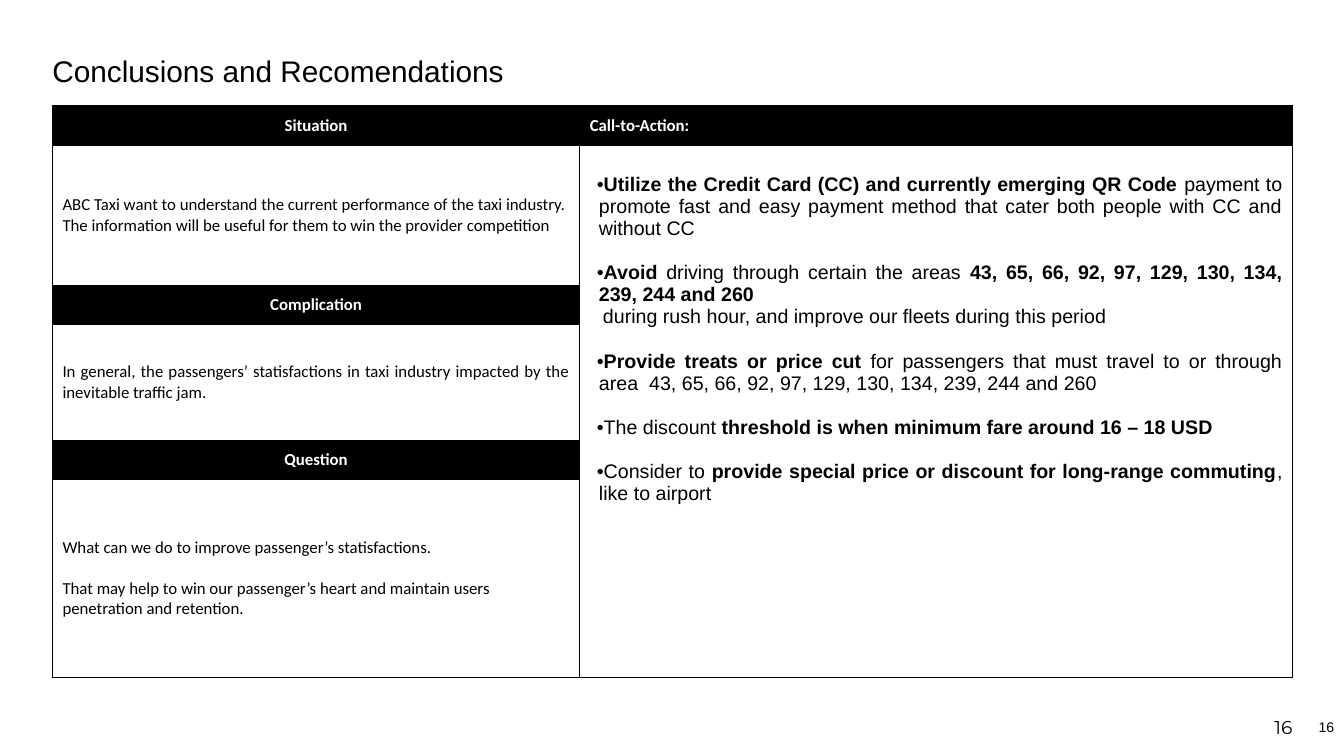
from lxml import etree
from pptx import Presentation
from pptx.dml.color import RGBColor
from pptx.enum.text import MSO_ANCHOR, PP_ALIGN
from pptx.oxml.ns import qn
from pptx.util import Inches, Pt

LEFT, CENTER = PP_ALIGN.LEFT, PP_ALIGN.CENTER
RIGHT, JUSTIFY = PP_ALIGN.RIGHT, PP_ALIGN.JUSTIFY
TOP, MIDDLE, BOTTOM = MSO_ANCHOR.TOP, MSO_ANCHOR.MIDDLE, MSO_ANCHOR.BOTTOM
BLACK, WHITE = "000000", "FFFFFF"
BLANK_LAYOUT = 6
WIDTH, HEIGHT = 13.33, 7.5
MARGIN, TABLE_TOP = 0.52, 1.05
COLUMNS = (5.23, 7.07)
ROWS = (0.39, 1.39, 0.39, 1.15, 0.39, 1.96)
CONTENT_WIDTH = sum(COLUMNS)
AREAS = "43, 65, 66, 92, 97, 129, 130, 134, 239, 244 and 260"

SECTIONS = [
    ("Situation", LEFT, 0, [
        "ABC Taxi want to understand the current performance of the taxi industry.",
        "The information will be useful for them to win the provider competition"]),
    ("Complication", JUSTIFY, 0, [
        "In general, the passengers’ statisfactions in taxi industry impacted "
        "by the inevitable traffic jam."]),
    ("Question", LEFT, 14.6, [
        "What can we do to improve passenger’s statisfactions.",
        "That may help to win our passenger’s heart and maintain users "
        "penetration and retention."]),
]

ACTIONS = [
    (True, [("Utilize the Credit Card (CC) and currently emerging QR Code ", True),
            ("payment to promote fast and easy payment method that cater both "
             "people with CC and without CC", False)]),
    (True, [("Avoid", True), (" driving through certain the areas ", False),
            (AREAS, True)]),
    (False, [("during rush hour, and improve our fleets during this period", False)]),
    (True, [("Provide treats or price cut", True),
            (" for passengers that must travel to or through area  " + AREAS, False)]),
    (True, [("The discount ", False),
            ("threshold is when minimum fare around 16 – 18 USD", True)]),
    (True, [("Consider to ", False),
            ("provide special price or discount for long-range commuting", True),
            (", like to airport", False)]),
]


def color(value):
    """Turn a hex string into a colour."""
    return RGBColor.from_string(value)


def add_run(para, text, font, size, bold=False, ink=BLACK):
    """Append one formatted run to a paragraph."""
    run = para.add_run()
    run.text = text
    run.font.name, run.font.size, run.font.bold = font, Pt(size), bold
    run.font.color.rgb = color(ink)


def next_para(frame, first, align, gap=0):
    """Return the first or a new paragraph, spaced unless it is the first."""
    para = frame.paragraphs[0] if first else frame.add_paragraph()
    para.alignment = align
    para.space_before = Pt(0 if first else gap)
    return para


def add_label(page, area, text, font, size, align, anchor, insets, spacing=1.0):
    """Add a one-line text box."""
    frame = page.shapes.add_textbox(*map(Inches, area)).text_frame
    frame.word_wrap = True
    frame.vertical_anchor = anchor
    frame.margin_left = frame.margin_right = Inches(insets[0])
    frame.margin_top = frame.margin_bottom = Inches(insets[1])
    para = next_para(frame, True, align)
    para.line_spacing = spacing
    add_run(para, text, font, size)


def style_cell(cell, fill, anchor=MIDDLE):
    """Give a cell thin black borders, a fill and an anchor."""
    properties = cell._tc.get_or_add_tcPr()
    for side in ("a:lnL", "a:lnR", "a:lnT", "a:lnB"):
        line = etree.SubElement(properties, qn(side), w=str(Pt(1)))
        solid = etree.SubElement(line, qn("a:solidFill"))
        etree.SubElement(solid, qn("a:srgbClr"), val=BLACK)
    cell.fill.solid()
    cell.fill.fore_color.rgb = color(fill)
    cell.vertical_anchor = anchor


def write_header(cell, text, align):
    """Fill a black header cell."""
    style_cell(cell, BLACK)
    add_run(next_para(cell.text_frame, True, align), text, "Calibri", 12, True, WHITE)


def write_body(cell, texts, align, gap):
    """Fill a white cell with plain paragraphs."""
    style_cell(cell, WHITE)
    for index, text in enumerate(texts):
        para = next_para(cell.text_frame, index == 0, align, gap)
        add_run(para, text, "Calibri", 12)


def indent(para, left, first, bullet):
    """Set a paragraph's indents and its bullet."""
    properties = para._p.get_or_add_pPr()
    properties.set("marL", str(Inches(left)))
    properties.set("indent", str(Inches(first)))
    if bullet:
        etree.SubElement(properties, qn("a:buFont"), typeface="Arial")
        etree.SubElement(properties, qn("a:buChar"), char="•")
    else:
        etree.SubElement(properties, qn("a:buNone"))


def write_actions(cell):
    """Fill the tall cell with the bulleted actions."""
    style_cell(cell, WHITE, TOP)
    cell.margin_top = Inches(0.28)
    for index, (bullet, runs) in enumerate(ACTIONS):
        para = next_para(cell.text_frame, index == 0, JUSTIFY, 16 if bullet else 0)
        indent(para, 0.09, -0.02 if bullet else 0.04, bullet)
        for text, bold in runs:
            add_run(para, text, "Arial", 14, bold)


def add_summary_table(page):
    """Add the table of sections beside the call to action."""
    area = (MARGIN, TABLE_TOP, CONTENT_WIDTH, sum(ROWS))
    table = page.shapes.add_table(len(ROWS), len(COLUMNS), *map(Inches, area)).table
    table.first_row = table.horz_banding = False
    for column, width in zip(table.columns, COLUMNS):
        column.width = Inches(width)
    for row, height in zip(table.rows, ROWS):
        row.height = Inches(height)
    for index, (heading, align, gap, texts) in enumerate(SECTIONS):
        write_header(table.cell(2 * index, 0), heading, CENTER)
        write_body(table.cell(2 * index + 1, 0), texts, align, gap)
    write_header(table.cell(0, 1), "Call-to-Action:", LEFT)
    table.cell(1, 1).merge(table.cell(len(ROWS) - 1, 1))
    write_actions(table.cell(1, 1))
    for row in range(2, len(ROWS)):
        style_cell(table.cell(row, 1), WHITE)


def main():
    """Build and save the slide."""
    deck = Presentation()
    deck.slide_width, deck.slide_height = Inches(WIDTH), Inches(HEIGHT)
    page = deck.slides.add_slide(deck.slide_layouts[BLANK_LAYOUT])
    right = MARGIN + CONTENT_WIDTH
    add_label(page, (right - 3, 7.01, 3, 0.4), "16", "Montserrat", 13.3,
              RIGHT, MIDDLE, (0, 0.07))
    add_label(page, (MARGIN, 0.41, CONTENT_WIDTH, 0.57),
              "Conclusions and Recomendations", "Arial", 21.3,
              LEFT, BOTTOM, (0, 0.1), 0.9)
    add_summary_table(page)
    add_label(page, (WIDTH - 0.8, HEIGHT - 0.57, 0.8, 0.57), "16", "Arial", 10,
              RIGHT, MIDDLE, (0.1, 0.05))
    deck.save("out.pptx")


if __name__ == "__main__":
    main()
